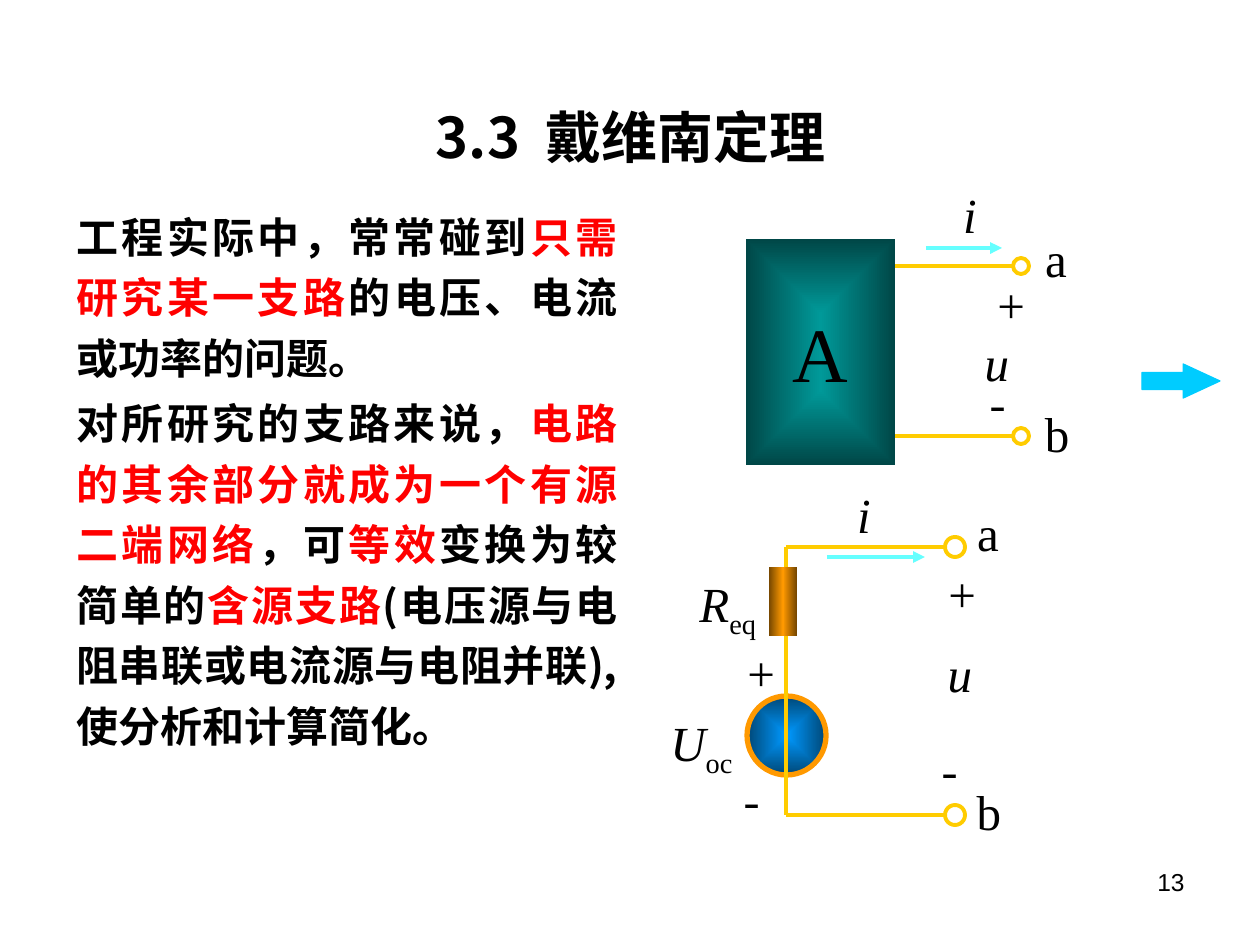
from pptx import Presentation
from pptx.dml.color import RGBColor
from pptx.enum.shapes import MSO_CONNECTOR as CONN, MSO_SHAPE as SHAPE
from pptx.enum.text import MSO_ANCHOR as ANCHOR, PP_ALIGN as ALIGN
from pptx.oxml import parse_xml
from pptx.oxml.ns import nsdecls, qn
from pptx.util import Emu, Pt

PX_PER_INCH = 126
BLACK = RGBColor(0x00, 0x00, 0x00)
RED = RGBColor(0xFF, 0x00, 0x00)
YELLOW = RGBColor(0xFF, 0xCC, 0x00)
ORANGE = RGBColor(0xFF, 0x99, 0x00)
BROWN = RGBColor(0x76, 0x47, 0x00)
AQUA = RGBColor(0x66, 0xFF, 0xFF)
SKY = RGBColor(0x00, 0xCC, 0xFF)
TEAL = RGBColor(0x00, 0x99, 0x99)
DARK_TEAL = RGBColor(0x00, 0x47, 0x47)
BLUE = RGBColor(0x00, 0x99, 0xFF)
NAVY = RGBColor(0x00, 0x47, 0x76)
SANS, SERIF, ARIAL = "Noto Sans CJK SC", "Times New Roman", "Arial"
TO_CENTRE = ('<a:path path="rect"><a:fillToRect l="50000" t="50000" '
             'r="50000" b="50000"/></a:path>')
LEFT_TO_RIGHT = '<a:lin ang="0" scaled="1"/>'


def px(n):
    return Emu(round(n * 914400 / PX_PER_INCH))


def write_text(tf, paragraphs, *, size=28, font=SERIF, color=BLACK, bold=False,
               italic=False, align=ALIGN.CENTER, anchor=ANCHOR.MIDDLE,
               wrap=True, before=0, spacing=1.0):
    """Fill tf; text is a string or paragraphs of (text, overrides) runs."""
    if isinstance(paragraphs, str):
        paragraphs = [[(paragraphs, {})]]
    tf.word_wrap = wrap
    tf.vertical_anchor = anchor
    for i, runs in enumerate(paragraphs):
        p = tf.add_paragraph() if i else tf.paragraphs[0]
        p.alignment, p.line_spacing, p.space_before = align, spacing, Pt(before)
        for text, own in runs:
            r = p.add_run()
            r.text = text
            f = r.font
            f.name, f.size, f.bold = font, Pt(size), bold
            f.italic = own.get("italic", italic)
            f.color.rgb = own.get("color", color)
            rPr = f._element
            rPr.find(qn("a:latin")).addnext(
                parse_xml(f'<a:ea {nsdecls("a")} typeface="{font}"/>'))
            if own.get("subscript"):
                rPr.set("baseline", "-25000")


class Canvas:
    def __init__(self, slide, wire=YELLOW, wire_width=2.25):
        self.s, self.wire_color, self.wire_width = slide, wire, wire_width

    def text(self, x, y, w, h, text, **fmt):
        sp = self.s.shapes.add_textbox(px(x), px(y), px(w), px(h))
        write_text(sp.text_frame, text, **fmt)

    def label(self, x, y, text, w=50, h=72, **fmt):
        """Write a circuit label centred on x."""
        self.text(x - w / 2, y, w, h, text, wrap=False, **fmt)

    def symbol(self, x, y, text, sub):
        """Write an italic quantity with an upright subscript."""
        runs = [(text, {"italic": True}), (sub, {"subscript": True})]
        self.text(x, y, 126, 79, [runs], align=ALIGN.LEFT, anchor=ANCHOR.TOP)

    def shape(self, kind, x, y, w, h, fill=None, line=None, width=2.25):
        sp = self.s.shapes.add_shape(kind, px(x), px(y), px(w), px(h))
        sp.shadow.inherit = False
        if fill is None:
            sp.fill.background()
        else:
            sp.fill.solid()
            sp.fill.fore_color.rgb = fill
        if line is None:
            sp.line.fill.background()
        else:
            sp.line.color.rgb = line
            sp.line.width = Pt(width)
        return sp

    def gradient_shape(self, kind, x, y, w, h, colors, direction, **line):
        sp = self.shape(kind, x, y, w, h, fill=colors[0], **line)
        step = 100000 // (len(colors) - 1)
        stops = "".join(f'<a:gs pos="{i * step}"><a:srgbClr val="{c}"/></a:gs>'
                        for i, c in enumerate(colors))
        spPr = sp._element.spPr
        spPr.replace(spPr.find(qn("a:solidFill")), parse_xml(
            f'<a:gradFill {nsdecls("a")} rotWithShape="1">'
            f'<a:gsLst>{stops}</a:gsLst>{direction}</a:gradFill>'))
        return sp

    def wire(self, x1, y1, x2, y2, color=None):
        c = self.s.shapes.add_connector(CONN.STRAIGHT, px(x1), px(y1), px(x2), px(y2))
        c.line.color.rgb = color or self.wire_color
        c.line.width = Pt(self.wire_width)
        c._element.spPr.append(parse_xml(f'<a:effectLst {nsdecls("a")}/>'))
        return c

    def current(self, x1, x2, y):
        """Draw the arrow that gives the direction of the current."""
        c = self.wire(x1, y, x2, y, AQUA)
        c.line._get_or_add_ln().append(
            parse_xml(f'<a:tailEnd {nsdecls("a")} type="triangle"/>'))

    def terminal(self, x, y, size):
        """Draw an open terminal whose left edge is at x, centred on y."""
        self.shape(SHAPE.OVAL, x, y - size / 2, size, size, line=self.wire_color)


def draw_network(cv):
    for y in (266, 436):
        cv.wire(895, y, 1013, y)
        cv.terminal(1013, y, 16)
    cv.current(926, 1002, 248)
    box = cv.gradient_shape(SHAPE.RECTANGLE, 746, 239, 149, 226,
                            (TEAL, DARK_TEAL), TO_CENTRE)
    write_text(box.text_frame, "A", size=44, wrap=False)
    cv.label(1056, 222, "a")
    cv.label(1057, 397, "b")
    cv.label(970, 178, "i", italic=True)
    cv.label(997, 326, "u", italic=True)
    cv.label(1010, 268, "+")
    cv.label(998, 368, "-", font=SANS)


def draw_equivalent(cv):
    x, right, top, bottom = 786, 945, 547, 815
    cv.gradient_shape(SHAPE.OVAL, 747, 696, 79, 79, (BLUE, NAVY), TO_CENTRE,
                      line=ORANGE, width=3)
    cv.wire(x, top, x, bottom)
    for y in (top, bottom):
        cv.wire(x, y, right, y)
        cv.terminal(right, y, 20)
    cv.gradient_shape(SHAPE.RECTANGLE, 769, 567, 28, 69,
                      (BROWN, ORANGE, BROWN), LEFT_TO_RIGHT)
    cv.current(827, 925, 557)
    cv.symbol(687, 567, "R", "eq")
    cv.symbol(658, 706, "U", "oc")
    cv.label(988, 496, "a", anchor=ANCHOR.TOP)
    cv.label(989, 775, "b", anchor=ANCHOR.TOP)
    cv.label(864, 478, "i", italic=True)
    cv.label(960, 637, "u", italic=True)
    for plus_x, plus_y in ((760, 636), (961, 557)):
        cv.label(plus_x, plus_y, "+")
    for minus_x, minus_y in ((752, 765), (950, 735)):
        cv.label(minus_x, minus_y, "-", font=SANS)


def main():
    prs = Presentation()
    prs.slide_width, prs.slide_height = px(1260), px(945)
    cv = Canvas(prs.slides.add_slide(prs.slide_layouts[6]))

    red = {"color": RED}
    body = [
        [("工程实际中，常常碰到", {}), ("只需研究某一支路", red),
         ("的电压、电流或功率的问题。", {})],
        [("对所研究的支路来说，", {}),
         ("电路的其余部分就成为一个有源二端网络", red), ("，可", {}),
         ("等效", red), ("变换为较简单的", {}), ("含源支路", red),
         ("(电压源与电阻串联或电流源与电阻并联), 使分析和计算简化。", {})],
    ]
    cv.text(64, 86, 1134, 100, "3.3  戴维南定理", size=32, font=SANS, bold=True)
    cv.text(64, 195, 566, 562, body, size=24, font=SANS, bold=True,
            align=ALIGN.JUSTIFY, anchor=ANCHOR.TOP, before=3, spacing=1.2)
    cv.text(903, 861, 294, 66, "13", size=14, font=ARIAL, align=ALIGN.RIGHT,
            anchor=ANCHOR.TOP)
    arrow = cv.shape(SHAPE.RIGHT_ARROW, 1142, 364, 78, 34, SKY, SKY, 0.75)
    arrow.adjustments[1] = 1.08
    draw_network(cv)
    draw_equivalent(cv)
    prs.save("out.pptx")


if __name__ == "__main__":
    main()
